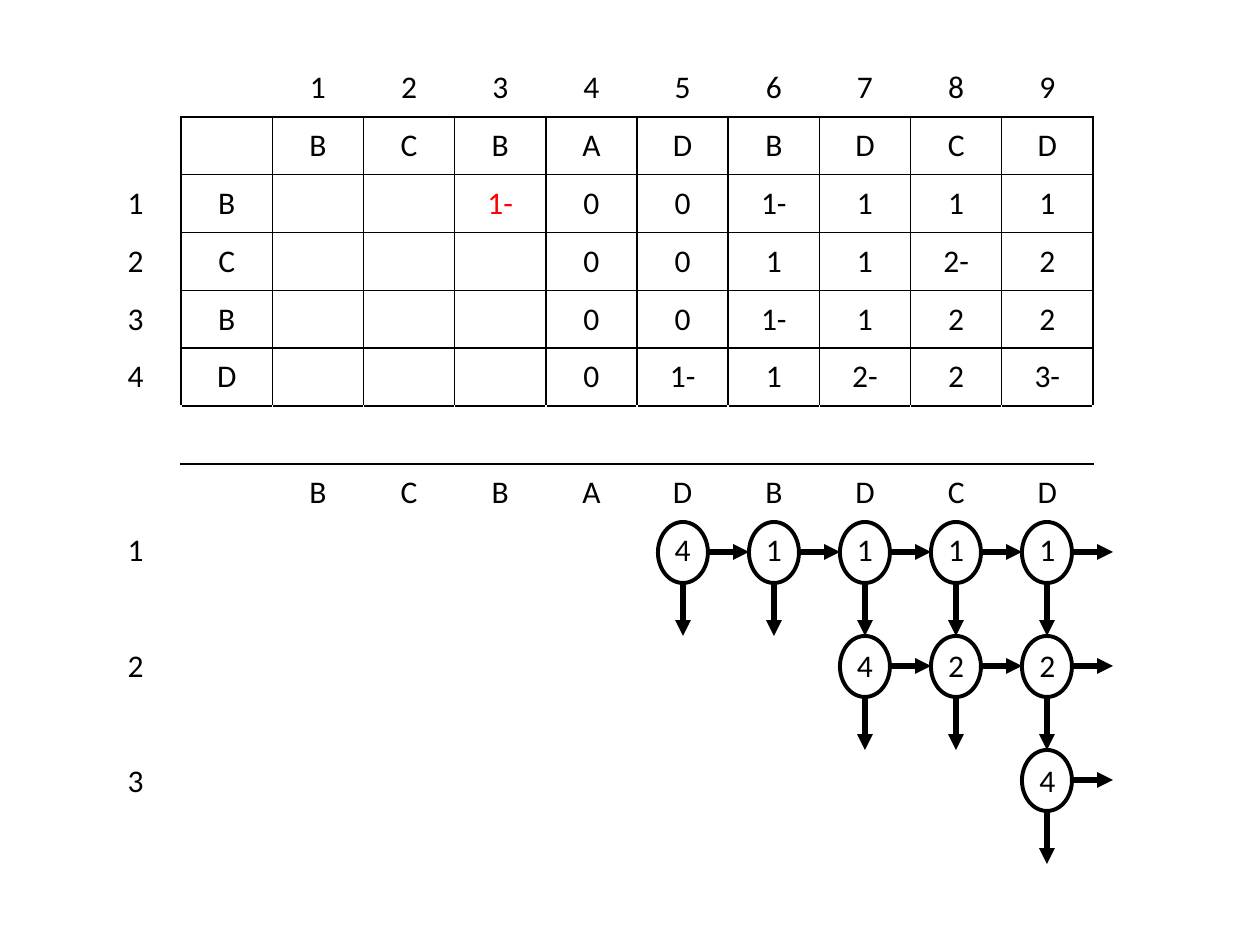
"""Build the slide showing a subsequence score table and its linked node diagram."""
from typing import NamedTuple

from lxml import etree
from pptx import Presentation
from pptx import util as u
from pptx.dml.color import RGBColor
from pptx.enum import shapes, text
from pptx.oxml import ns

PX_PER_INCH = 126
COLORS = {"ink": "000000", "paper": "FFFFFF", "highlight": "FF0000"}
FONT = {"name": "Calibri", "size": u.Pt(18)}
CELL = {"vertical_anchor": text.MSO_ANCHOR.MIDDLE}
TABLE_FLAGS = {"first_row": False, "horz_banding": False}
PLAIN_STYLE = "{2D5ABB26-0587-4C30-8999-92F81FD0307C}"

TABLE_LEFT, TABLE_TOP, TABLE_WIDTH, TABLE_HEIGHT = 90, 59, 1003, 752
SEQUENCE = list("BCBADBDCD")
SCORES = [
    ["", "", *"123456789"],
    ["", "", *SEQUENCE],
    ["1", "B", "", "", "1-", "0", "0", "1-", "1", "1", "1"],
    ["2", "C", "", "", "", "0", "0", "1", "1", "2-", "2"],
    ["3", "B", "", "", "", "0", "0", "1-", "1", "2", "2"],
    ["4", "D", "", "", "", "0", "1-", "1", "2-", "2", "3-"],
    [""] * 11,
    ["", "", *SEQUENCE],
    ["1", *[""] * 5, "4", "1", "1", "1", "1"],
    [""] * 11,
    ["2", *[""] * 7, "4", "2", "2"],
    [""] * 11,
    ["3", *[""] * 9, "4"],
]
HIGHLIGHTED = (2, 4)
GRID_ROWS, GRID_COLUMNS = range(1, 6), range(1, 11)
BORDERED_ROWS = range(0, 7)
SIDES = {"lnL": (0, -1), "lnR": (0, 1), "lnT": (-1, 0), "lnB": (1, 0)}

NODE_LEFT, NODE_TOP, NODE_WIDTH, NODE_HEIGHT = 658, 522, 50, 61
NODE_STEP_X, NODE_STEP_Y = 91, 114
ARROW_RIGHT, ARROW_DOWN = 41, 53


class Node(NamedTuple):
    """Hold the column and row of a diagram node."""
    column: int
    row: int


class Arrow(NamedTuple):
    """Hold the start and end of an arrow in px."""
    x1: int
    y1: int
    x2: int
    y2: int


NODE_GROUPS = [
    [Node(0, 0)], [Node(1, 0)], [Node(2, 0)], [Node(2, 1)],
    [Node(3, 0)], [Node(3, 1)], [Node(4, 0), Node(4, 1), Node(4, 2)],
]


def emu(px: int) -> int:
    """Convert px to EMU."""
    return round(px * 914400 / PX_PER_INCH)


def color(name: str) -> RGBColor:
    """Look up a named colour."""
    return RGBColor.from_string(COLORS[name])


def apply(target, values: dict) -> None:
    """Set every attribute listed in values."""
    for name, value in values.items():
        setattr(target, name, value)


def in_grid(row: int, column: int) -> bool:
    """Tell whether a cell lies in the ruled grid."""
    return row in GRID_ROWS and column in GRID_COLUMNS


def draw_borders(cell, row: int, column: int) -> None:
    """Rule the edges that touch the grid in ink and the others in paper."""
    properties = cell._tc.get_or_add_tcPr()
    for tag, (down, right) in SIDES.items():
        if row + down not in BORDERED_ROWS and tag == "lnB":
            continue
        ruled = in_grid(row, column) or in_grid(row + down, column + right)
        line = etree.SubElement(properties, ns.qn(f"a:{tag}"), w=str(u.Pt(1)))
        fill = etree.SubElement(line, ns.qn("a:solidFill"))
        etree.SubElement(fill, ns.qn("a:srgbClr"), val=COLORS["ink" if ruled else "paper"])


def write_cell(cell, label: str, color_name: str) -> None:
    """Write a centred label into a cell."""
    apply(cell, CELL)
    paragraph = cell.text_frame.paragraphs[0]
    paragraph.alignment = text.PP_ALIGN.CENTER
    run = paragraph.add_run()
    run.text = label
    apply(run.font, FONT)
    run.font.color.rgb = color(color_name)


def draw_table(slide) -> None:
    """Draw the scores and the diagram labels as one table."""
    frame = slide.shapes.add_table(
        len(SCORES), len(SCORES[0]),
        emu(TABLE_LEFT), emu(TABLE_TOP), emu(TABLE_WIDTH), emu(TABLE_HEIGHT))
    table = frame.table
    apply(table, TABLE_FLAGS)
    table._tbl.tblPr.find(ns.qn("a:tableStyleId")).text = PLAIN_STYLE
    for row, labels in enumerate(SCORES):
        for column, label in enumerate(labels):
            cell = table.cell(row, column)
            if row in BORDERED_ROWS:
                draw_borders(cell, row, column)
            cell.fill.background()
            if label:
                write_cell(cell, label, "highlight" if (row, column) == HIGHLIGHTED else "ink")


def draw_arrow(group, arrow: Arrow) -> None:
    """Draw a straight arrow with a triangular head."""
    connector = group.shapes.add_connector(
        shapes.MSO_CONNECTOR.STRAIGHT, *(emu(length) for length in arrow))
    connector.line.color.rgb = color("ink")
    connector.line.width = u.Pt(3)
    etree.SubElement(connector.line._get_or_add_ln(), ns.qn("a:tailEnd"), type="triangle")
    etree.SubElement(connector._element.spPr, ns.qn("a:effectLst"))


def draw_node(group, node: Node) -> None:
    """Draw a ring with its right and down arrows."""
    left = NODE_LEFT + node.column * NODE_STEP_X
    top = NODE_TOP + node.row * NODE_STEP_Y
    right, bottom = left + NODE_WIDTH, top + NODE_HEIGHT
    center_x, center_y = left + NODE_WIDTH // 2, top + NODE_HEIGHT // 2
    shape = group.shapes.add_shape(
        shapes.MSO_SHAPE.OVAL, emu(left), emu(top), emu(NODE_WIDTH), emu(NODE_HEIGHT))
    shape.shadow.inherit = False
    shape.fill.background()
    shape.line.color.rgb = color("ink")
    shape.line.width = u.Pt(2.25)
    draw_arrow(group, Arrow(right, center_y, right + ARROW_RIGHT, center_y))
    draw_arrow(group, Arrow(center_x, bottom, center_x, bottom + ARROW_DOWN))


def main() -> None:
    """Build and save the presentation."""
    presentation = Presentation()
    apply(presentation, {"slide_width": emu(1260), "slide_height": emu(945)})
    slide = presentation.slides.add_slide(presentation.slide_layouts[6])
    draw_table(slide)
    for nodes in NODE_GROUPS:
        group = slide.shapes.add_group_shape()
        for node in nodes:
            draw_node(group, node)
    presentation.save("out.pptx")


if __name__ == "__main__":
    main()
